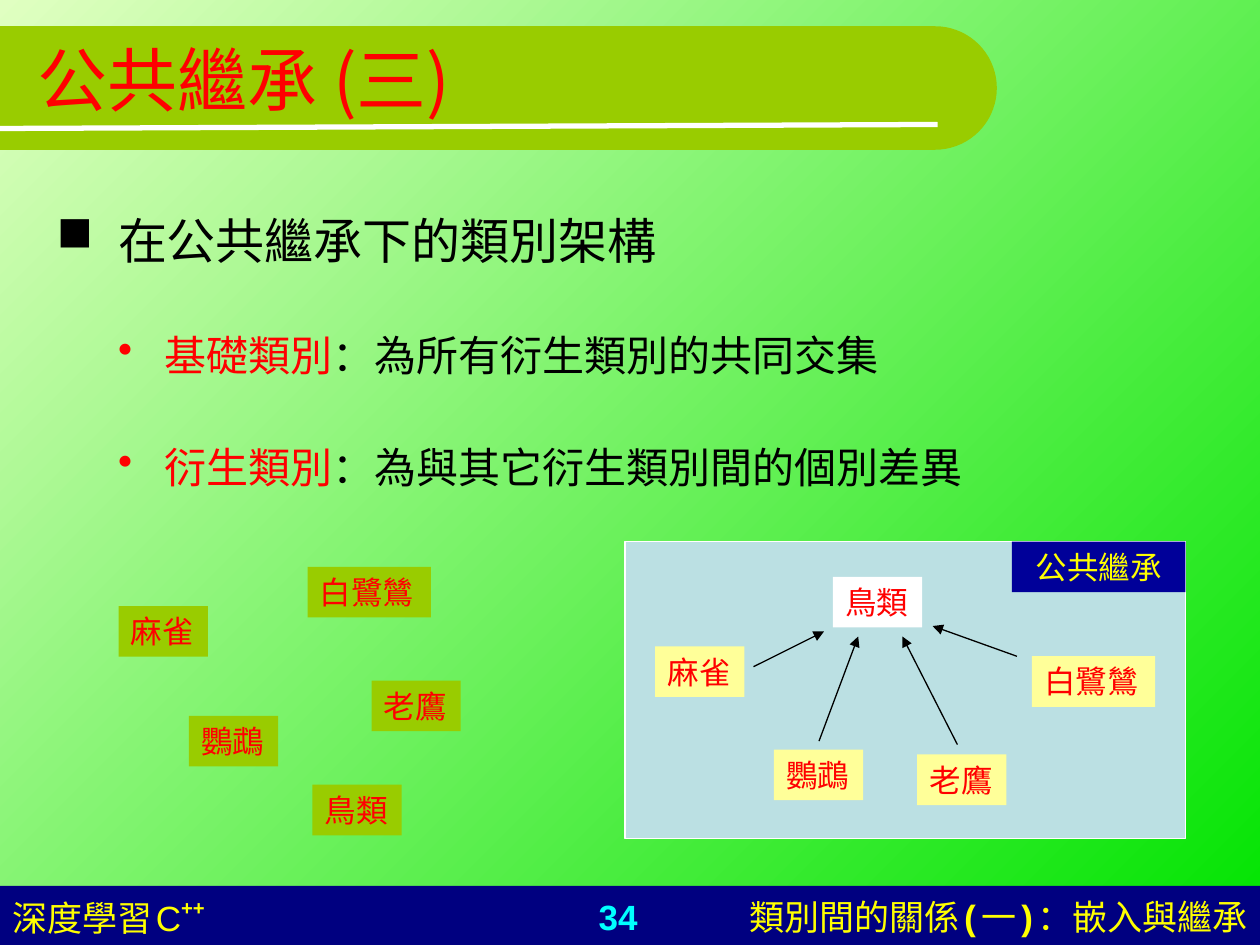
import math
import pptx
import pptx.dml.color
import pptx.enum.dml
import pptx.enum.shapes
import pptx.enum.text
import pptx.oxml
import pptx.oxml.ns
import pptx.util
from lxml import etree

Cm = pptx.util.Cm
Pt = pptx.util.Pt
KIND = pptx.enum.shapes.MSO_SHAPE
ALIGN = pptx.enum.text.PP_ALIGN
ANCHOR = pptx.enum.text.MSO_ANCHOR
FIT = pptx.enum.text.MSO_AUTO_SIZE
HUE = {
    "pale": "E0FFC1", "green": "00E400", "olive": "99CC00", "navy": "000080",
    "blue": "000099", "sky": "BBE0E3", "cream": "FFFF99", "white": "FFFFFF",
    "black": "000000", "red": "FF0000", "yellow": "FFFF00", "cyan": "00FFFF",
}
MONO, SANS, HAN = "Courier New", "Arial", "Noto Sans CJK SC"


def rgb(hue):
    return pptx.dml.color.RGBColor.from_string(HUE[hue])


def style(font, size=None, face=None, hue=None, bold=None):
    if size:
        font.size = Pt(size)
    if face:
        font.name = face
    if hue:
        font.color.rgb = rgb(hue)
    if bold is not None:
        font.bold = bold


def paint(shape, fill, line=None):
    shape.shadow.inherit = False
    shape.fill.solid()
    shape.fill.fore_color.rgb = rgb(fill)
    if line:
        shape.line.color.rgb = rgb(line)
        shape.line.width = Pt(0.75)
    else:
        shape.line.fill.background()


def block(slide, x, y, w, h, fill, line=None):
    shape = slide.shapes.add_shape(KIND.RECTANGLE, Cm(x), Cm(y), Cm(w), Cm(h))
    paint(shape, fill, line)
    return shape


def text_box(slide, x, y, w, h, align=ALIGN.LEFT):
    box = slide.shapes.add_textbox(Cm(x), Cm(y), Cm(w), Cm(h))
    box.text_frame.word_wrap = True
    para = box.text_frame.paragraphs[0]
    para.alignment = align
    return box.text_frame, para


def add_run(para, text, **look):
    run = para.add_run()
    run.text = text
    style(run.font, **look)
    return run


def label(slide, text, x, y, fill, hue="red", width=None, align=ALIGN.LEFT):
    width = width or 0.69 * len(text) + 0.42
    shape = block(slide, x, y, width, 1.02, fill)
    frame = shape.text_frame
    frame.vertical_anchor = ANCHOR.TOP
    frame.auto_size = FIT.SHAPE_TO_FIT_TEXT
    para = frame.paragraphs[0]
    para.alignment = align
    add_run(para, text)
    style(para.font, 18, MONO, hue)


def rule(slide, ends, hue, width, arrow=False):
    line = slide.shapes.add_connector(
        pptx.enum.shapes.MSO_CONNECTOR.STRAIGHT, *map(Cm, ends))
    line.line.color.rgb = rgb(hue)
    line.line.width = Pt(width)
    qn = pptx.oxml.ns.qn
    if arrow:
        etree.SubElement(line.line._get_or_add_ln(), qn("a:tailEnd"), type="triangle")
    etree.SubElement(line._element.spPr, qn("a:effectLst"))


def bullet(para, mark, hue, left, hang):
    qn = pptx.oxml.ns.qn
    props = para._p.get_or_add_pPr()
    props.set("marL", str(Cm(left)))
    props.set("indent", str(-Cm(hang)))
    tint = etree.SubElement(props, qn("a:buClr"))
    etree.SubElement(tint, qn("a:srgbClr"), val=HUE[hue])
    etree.SubElement(props, qn("a:buChar"), char=mark)


def backdrop(slide):
    fill = slide.background.fill
    fill.gradient()
    fill.gradient_angle = 315
    for stop, hue in zip(fill.gradient_stops, ("pale", "green")):
        stop.color.rgb = rgb(hue)


def banner(slide):
    top, rad, mid = 0.53, 1.245, 18.85
    arc = [math.radians(a) for a in range(-90, 91, 5)]
    points = [(Cm(mid + rad * math.cos(a)), Cm(top + rad + rad * math.sin(a)))
              for a in arc]
    path = slide.shapes.build_freeform(Cm(0), Cm(top))
    path.add_line_segments(points + [(Cm(0), Cm(top + 2 * rad))])
    paint(path.convert_to_shape(), "olive")
    rule(slide, (0, 2.59, 18.9, 2.51), "white", 3)
    frame, para = text_box(slide, 0.51, 0, 22.86, 3.17)
    frame.vertical_anchor = ANCHOR.MIDDLE
    add_run(para, "公共繼承 (三)")
    style(para.font, 40, HAN, "red")


def footer(slide):
    block(slide, 0, 17.86, 25.4, 1.19, "navy")
    y, h = 17.93, 1.12
    para = text_box(slide, 9.5, y, 5.92, h, ALIGN.CENTER)[1]
    add_run(para, "34")
    style(para.font, 20, SANS, "cyan", True)

    para = text_box(slide, 12.9, y, 12.5, h, ALIGN.RIGHT)[1]
    style(para.font, 20, hue="yellow")
    for text, face, bold in (
            ("類別間的關係", SANS, False), ("(", MONO, True), ("一", SANS, False),
            (")", MONO, True), ("：", SANS, False), ("嵌入與繼承", HAN, False)):
        add_run(para, text, face=face, bold=bold)

    para = text_box(slide, 0, y, 9.09, h)[1]
    style(para.font, face=SANS, hue="yellow")
    for text, size in (("深度學習", 20), (" ", 8), ("C", 20)):
        add_run(para, text, size=size)
    power = add_run(para, "++", size=20, bold=True)
    power._r.get_or_add_rPr().set("baseline", "46000")


def body(slide):
    frame, para = text_box(slide, 0.89, 4.11, 23.62, 6.2)
    bullet(para, "■", "black", 1.24, 1.24)
    add_run(para, "在公共繼承下的類別架構")
    style(para.font, 28, MONO, "black")
    for term, rest in (("基礎類別", "：為所有衍生類別的共同交集"),
                       ("衍生類別", "：為與其它衍生類別間的個別差異")):
        para = frame.add_paragraph()
        para.level = 1
        para.line_spacing = 2.0
        para.space_before = Pt(6)
        bullet(para, "•", "red", 2.18, 0.94)
        style(para.font, 24, MONO)
        add_run(para, term, hue="red")
        add_run(para, rest, hue="black")


def birds(slide):
    for text, x, y in (
            ("麻雀", 2.39, 12.22), ("鸚鵡", 3.81, 14.43), ("老鷹", 7.49, 13.72),
            ("鳥類", 6.3, 15.82), ("白鷺鷥", 6.2, 11.43)):
        label(slide, text, x, y, "olive")


def tree(slide):
    block(slide, 12.6, 10.92, 11.3, 5.99, "sky", "white")
    label(slide, "鳥類", 16.79, 11.63, "white")
    for text, x, y, ends in (
            ("麻雀", 13.21, 13.03, (15.19, 13.44, 16.61, 12.73)),
            ("鸚鵡", 15.6, 15.11, (16.51, 14.94, 17.3, 12.83)),
            ("老鷹", 18.49, 15.21, (19.3, 15.01, 18.19, 12.83)),
            ("白鷺鷥", 20.8, 13.23, (20.5, 13.23, 18.8, 12.62))):
        label(slide, text, x, y, "cream")
        rule(slide, ends, "black", 0.75, True)
    label(slide, "公共繼承", 20.4, 10.92, "blue", "yellow", 3.5, ALIGN.CENTER)


def main():
    deck = pptx.Presentation()
    deck.slide_width, deck.slide_height = Cm(25.4), Cm(19.05)
    slide = deck.slides.add_slide(deck.slide_layouts[6])
    for draw in (backdrop, footer, banner, body, birds, tree):
        draw(slide)
    deck.save("out.pptx")


if __name__ == "__main__":
    main()
